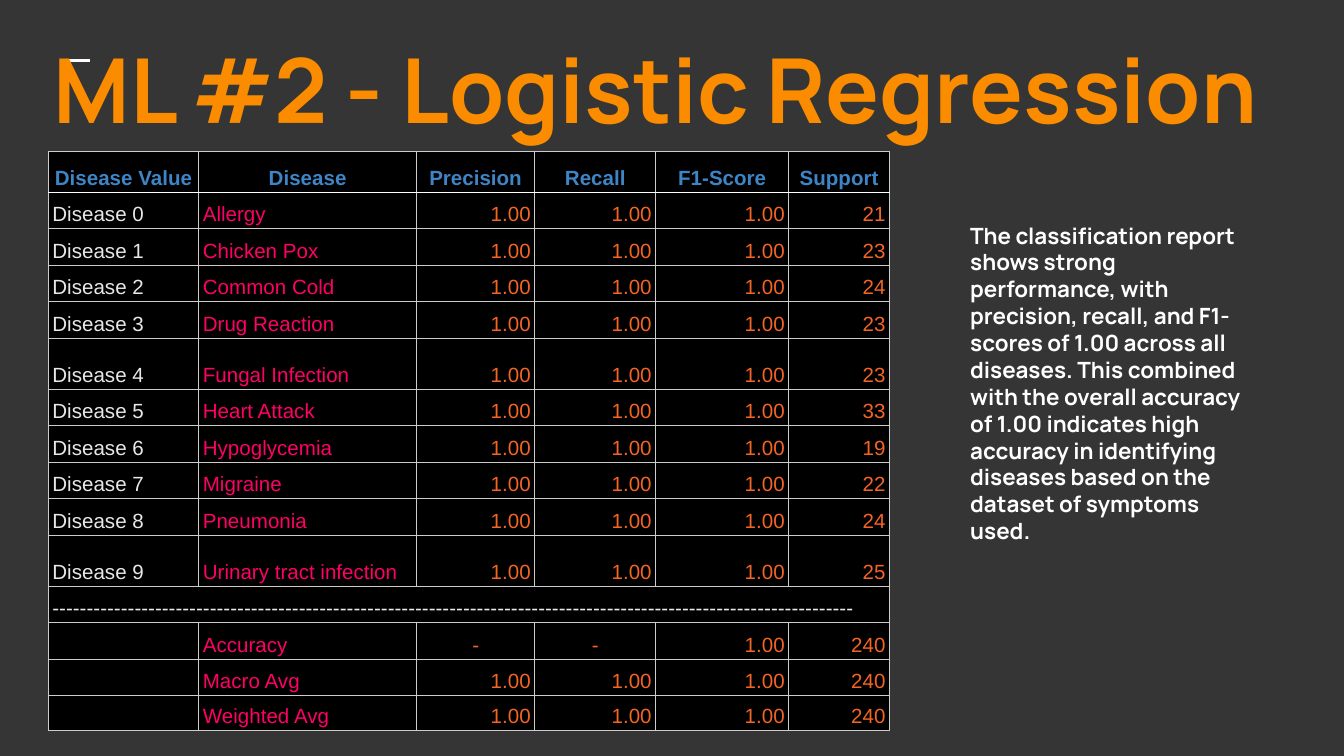
"""Build a slide with a logistic regression classification report."""
import pptx
import pptx.util
import pptx.dml.color
import pptx.enum.shapes
import pptx.enum.text
import pptx.oxml
import pptx.oxml.ns

Inches = pptx.util.Inches
Pt = pptx.util.Pt
ALIGN = pptx.enum.text.PP_ALIGN

COLORS = {
    "back": "353535", "title": "FB8C00", "white": "FFFFFF", "cell": "000000",
    "grid": "CCCCCC", "head": "3D85C6", "label": "E8E8E8", "name": "FF0066",
    "score": "F46524",
}
HEADS = ["Disease Value", "Disease", "Precision", "Recall", "F1-Score", "Support"]
CASES = [
    ("Allergy", 21), ("Chicken Pox", 23), ("Common Cold", 24),
    ("Drug Reaction", 23), ("Fungal Infection", 23), ("Heart Attack", 33),
    ("Hypoglycemia", 19), ("Migraine", 22), ("Pneumonia", 24),
    ("Urinary tract infection", 25),
]
WIDTHS = [1.12, 1.62, 0.88, 0.9, 0.99, 0.75]
HEIGHT = 4.31
SPECIAL = {0: 0.3, 5: 0.38, 10: 0.38, 14: 0.26}
RULE = len(CASES) + 1
NOTE = (
    "The classification report shows strong performance, with precision, "
    "recall, and F1-scores of 1.00 across all diseases. This combined with "
    "the overall accuracy of 1.00 indicates high accuracy in identifying "
    "diseases based on the dataset of symptoms used."
)


def color(name):
    return pptx.dml.color.RGBColor.from_string(COLORS[name])


def style(para, face, size, name, bold):
    font = para.font
    font.name, font.size, font.bold = face, Pt(size), bold
    font.color.rgb = color(name)


def add_text(slide, box, text, size, name):
    frame = slide.shapes.add_textbox(*map(Inches, box)).text_frame
    frame.word_wrap = True
    frame.margin_left = frame.margin_right = Inches(0.1)
    frame.margin_top = frame.margin_bottom = Inches(0.1)
    para = frame.paragraphs[0]
    para.text = text
    style(para, "Manrope", size, name, True)
    return para


def add_dash(slide):
    line = slide.shapes.add_connector(
        pptx.enum.shapes.MSO_CONNECTOR.STRAIGHT,
        Inches(0.47), Inches(0.45), Inches(0.67), Inches(0.45))
    line.line.color.rgb = color("white")
    line.line.width = Pt(1.5)
    props = line._element.spPr
    props.append(props.makeelement(pptx.oxml.ns.qn("a:effectLst"), {}))


def add_edges(cell, row):
    props = cell._tc.get_or_add_tcPr()
    for side in "LRTB":
        bright = (row, side) in ((0, "B"), (1, "T"))
        shade = COLORS["white" if bright else "grid"]
        props.append(pptx.oxml.parse_xml(
            f'<a:ln{side} {pptx.oxml.ns.nsdecls("a")} w="{Pt(0.5)}">'
            f'<a:solidFill><a:srgbClr val="{shade}"/></a:solidFill>'
            f'</a:ln{side}>'))


def fill_cell(cell, row, col, text):
    add_edges(cell, row)
    cell.fill.solid()
    cell.fill.fore_color.rgb = color("cell")
    cell.vertical_anchor = pptx.enum.text.MSO_ANCHOR.BOTTOM
    cell.margin_left = cell.margin_right = Inches(0.03)
    cell.margin_top = cell.margin_bottom = Inches(0.02)
    para = cell.text_frame.paragraphs[0]
    para.line_spacing = 1.15
    if row == 0 or text == "-":
        para.alignment = ALIGN.CENTER
    else:
        para.alignment = ALIGN.LEFT if col < 2 else ALIGN.RIGHT
    if text:
        para.text = text
    else:
        para._p.get_or_add_endParaRPr().set("sz", "1100")
    body = ("label", "name")[col] if col < 2 else "score"
    style(para, "Arial", 11, "head" if row == 0 else body, row == 0)


def report_rows():
    ones = ["1.00"] * 3
    rows = [HEADS]
    rows += [[f"Disease {i}", name, *ones, str(count)]
             for i, (name, count) in enumerate(CASES)]
    rows.append(["-" * 117] + [""] * 5)
    rows.append(["", "Accuracy", "-", "-", "1.00", "240"])
    rows += [["", name, *ones, "240"] for name in ("Macro Avg", "Weighted Avg")]
    return rows


def add_report(slide):
    rows = report_rows()
    plain = (HEIGHT - sum(SPECIAL.values())) / (len(rows) - len(SPECIAL))
    table = slide.shapes.add_table(
        len(rows), len(WIDTHS), Inches(0.36), Inches(1.13),
        Inches(sum(WIDTHS)), Inches(HEIGHT)).table
    for col, width in zip(table.columns, WIDTHS):
        col.width = Inches(width)
    for i, row in enumerate(table.rows):
        row.height = Inches(SPECIAL.get(i, plain))
    for r, texts in enumerate(rows):
        for c, text in enumerate(texts):
            fill_cell(table.cell(r, c), r, c, text)
    table.cell(RULE, 0).merge(table.cell(RULE, len(WIDTHS) - 1))


def main():
    deck = pptx.Presentation()
    deck.slide_width = Inches(10)
    deck.slide_height = deck.slide_width * 9 // 16
    slide = deck.slides.add_slide(deck.slide_layouts[6])
    slide.background.fill.solid()
    slide.background.fill.fore_color.rgb = color("back")
    add_dash(slide)
    title = add_text(slide, (0.3, 0.15, 9.2, 0.66),
                     "ML #2 - Logistic Regression", 48, "title")
    title.space_after = Pt(10)
    add_report(slide)
    add_text(slide, (7.12, 1.55, 2.38, 2.53), NOTE, 12, "white")
    deck.save("out.pptx")


if __name__ == "__main__":
    main()
